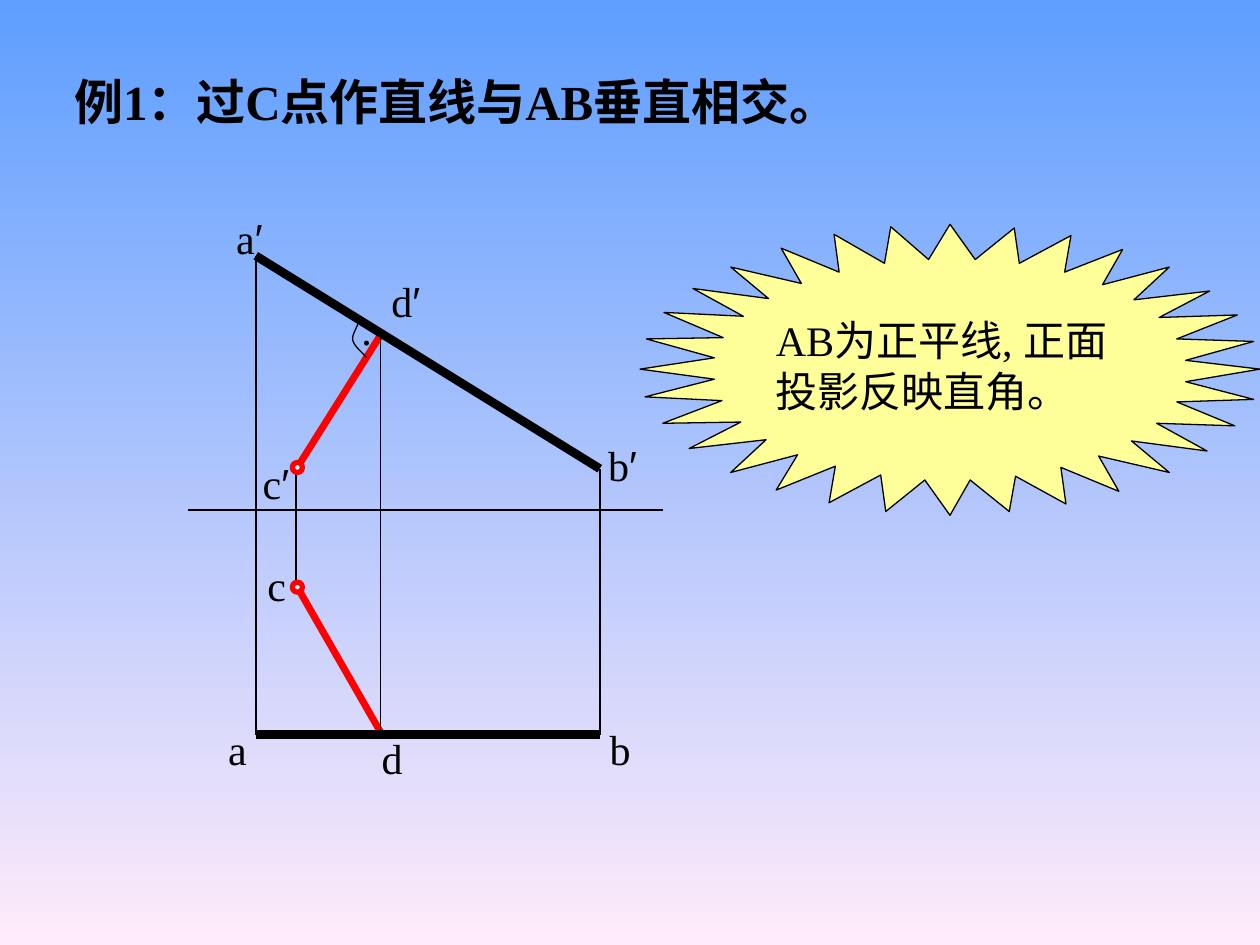
from typing import NamedTuple

from lxml.etree import SubElement
from pptx import Presentation
from pptx.dml.color import RGBColor
from pptx.enum.shapes import MSO_CONNECTOR as Conn, MSO_SHAPE as Kind
from pptx.enum.text import MSO_ANCHOR as Anchor, PP_ALIGN as Align
from pptx.oxml.ns import qn
from pptx.util import Inches, Pt

COLS, ROWS = 100, 75
HEX = {
    "sky": "5E9EFF",
    "rose": "FFEBFA",
    "ink": "000000",
    "red": "FF0000",
    "burst": "FFFF99",
    "white": "FFFFFF",
}
LATIN, PRIME = "Times New Roman", "Arial"

Point = tuple[float, float]


class Edge(NamedTuple):
    start: Point
    end: Point
    weight: float
    color: str = "ink"


class Label(NamedTuple):
    text: str
    left: float
    top: float
    width: float
    height: float = 5
    size: int = 24
    bold: bool = False
    align: Align = Align.CENTER
    wrap: bool = False


# Projections of the points, in grid columns and rows
A2, B2, C2, D2 = (20.3, 20.3), (47.6, 37.2), (23.6, 37.1), (30.2, 26.6)
A1, B1, C1, D1 = (20.3, 58.3), (47.6, 58.3), (23.6, 46.6), (30.2, 58.1)

EDGES = [
    Edge(C1, D1, 4, "red"),
    Edge(C2, D2, 4, "red"),
    Edge((14.9, 40.5), (52.6, 40.5), 1),
    Edge(A1, B1, 5),
    Edge(B1, B2, 1),
    Edge(A1, A2, 1),
    Edge(A2, B2, 5),
    Edge((23.5, 36.9), (23.5, 46.4), 1),
    Edge(D2, D1, 1),
]

LABELS = [
    Label("d′", 29.8, 21.4, 4.8),
    Label("a", 17.1, 56.9, 3.5),
    Label("b", 47.4, 56.9, 3.6),
    Label("c", 20.2, 43.9, 3.5),
    Label("a′", 17.5, 16.4, 4.6),
    Label("b′", 47, 34.4, 4.8),
    Label("c′", 19.6, 35.8, 4.6),
    Label("d", 29.3, 57.6, 3.6),
    Label(".", 27.7, 23.6, 2.8),
    Label("例1：过C点作直线与AB垂直相交。", 4.9, 5.2, 68.2, 5.7, 28, True, Align.LEFT),
]
NOTE = Label("AB为正平线, 正面投影反映直角。", 60.6, 24.5, 29.7, 9, align=Align.LEFT, wrap=True)

BURST = [
    (50.8, 29.3), (56.7, 30.1), (51.2, 31.5), (57.3, 31.8), (52.6, 33.6),
    (58.8, 33.5), (54.7, 35.6), (60.8, 34.9), (58, 37.5), (63.3, 36.1),
    (61.6, 38.9), (66.3, 37), (65.8, 39.9), (69.9, 37.7), (70.3, 40.6),
    (73.4, 38.1), (75.4, 40.9), (77, 38.1), (80.1, 40.6), (80.6, 37.8),
    (84.6, 40), (84.2, 37.1), (88.8, 39), (87.2, 36.2), (92.8, 37.5),
    (89.8, 35), (95.8, 35.8), (91.8, 33.6), (98, 33.8), (93.4, 31.9),
    (99.5, 31.7), (94.1, 30.3), (100, 29.3), (94.1, 28.6), (99.5, 27.1),
    (93.4, 26.9), (98.2, 25), (92, 25.2), (96, 23.1), (90, 23.8),
    (92.8, 21.2), (87.5, 22.6), (89.1, 19.8), (84.5, 21.6), (85, 18.7),
    (80.9, 20.9), (80.5, 18.1), (77.4, 20.6), (75.4, 17.8), (73.7, 20.6),
    (70.7, 18), (70.2, 20.9), (66.2, 18.6), (66.6, 21.6), (62, 19.7),
    (63.6, 22.5), (58, 21.2), (61, 23.7), (55, 22.9), (59, 25.1),
    (52.7, 24.8), (57.4, 26.8), (51.3, 26.9), (56.7, 28.4),
]
ARC = [
    [(28.4, 25.7), (28.4, 25.9), (27.9, 26.6), (28, 27)],
    [(28, 27), (28.1, 27.5), (28.9, 28.1), (29.1, 28.4)],
]

deck = Presentation()
deck.slide_width, deck.slide_height = Inches(10), Inches(7.5)
slide = deck.slides.add_slide(deck.slide_layouts[6])
shapes = slide.shapes


def col(n: float) -> int:
    return round(deck.slide_width * n / COLS)


def row(n: float) -> int:
    return round(deck.slide_height * n / ROWS)


def rgb(name: str) -> RGBColor:
    return RGBColor.from_string(HEX[name])


def stroke(line, color: str, weight: float) -> None:
    line.color.rgb = rgb(color)
    line.width = Pt(weight)


def paint(shape, color: str) -> None:
    shape.shadow.inherit = False
    shape.fill.solid()
    shape.fill.fore_color.rgb = rgb(color)


def draw_edge(edge: Edge) -> None:
    (x1, y1), (x2, y2) = edge.start, edge.end
    line = shapes.add_connector(Conn.STRAIGHT, col(x1), row(y1), col(x2), row(y2))
    stroke(line.line, edge.color, edge.weight)
    SubElement(line._element.spPr, qn("a:effectLst"))


def draw_path(points: list[Point], close: bool):
    first, *rest = [(col(x), row(y)) for x, y in points]
    pen = shapes.build_freeform(*first)
    pen.add_line_segments(rest, close=close)
    shape = pen.convert_to_shape()
    shape.shadow.inherit = False
    stroke(shape.line, "ink", 0.75)
    return shape


def bezier(curve: list[Point], steps: int = 8) -> list[Point]:
    """Sample a cubic curve at equal steps."""
    points = []
    for i in range(steps + 1):
        t = i / steps
        parts = ((1 - t) ** 3, 3 * t * (1 - t) ** 2, 3 * t * t * (1 - t), t ** 3)
        points.append(tuple(sum(w * p[k] for w, p in zip(parts, curve)) for k in (0, 1)))
    return points


def draw_label(label: Label):
    box = shapes.add_textbox(
        col(label.left), row(label.top), col(label.width), row(label.height))
    frame = box.text_frame
    frame.word_wrap = label.wrap
    frame.vertical_anchor = Anchor.MIDDLE
    para = frame.paragraphs[0]
    para.alignment = label.align
    base, mark, _ = label.text.partition("′")
    for text, face in ((base, LATIN), (mark, PRIME)):
        if text:
            run = para.add_run()
            run.text = text
            run.font.name, run.font.size = face, Pt(label.size)
            run.font.bold = label.bold
            run.font.color.rgb = rgb("ink")
    return box


def draw_ring(center: Point, size: float = 0.8) -> None:
    x, y = center
    ring = shapes.add_shape(
        Kind.OVAL, col(x - size / 2), row(y - size / 2), col(size), row(size))
    paint(ring, "white")
    stroke(ring.line, "red", 3)


back = slide.background.fill
back.gradient()
back.gradient_angle = 270
for stop, name in zip(back.gradient_stops, ("sky", "rose")):
    stop.color.rgb = rgb(name)

for edge in EDGES:
    draw_edge(edge)
for label in LABELS:
    draw_label(label)
paint(draw_path(BURST, True), "burst")
note = draw_label(NOTE)
note.fill.solid()
note.fill.fore_color.rgb = rgb("burst")
draw_path([p for curve in ARC for p in bezier(curve)], False).fill.background()
for center in (C2, C1):
    draw_ring(center)

deck.save("out.pptx")
